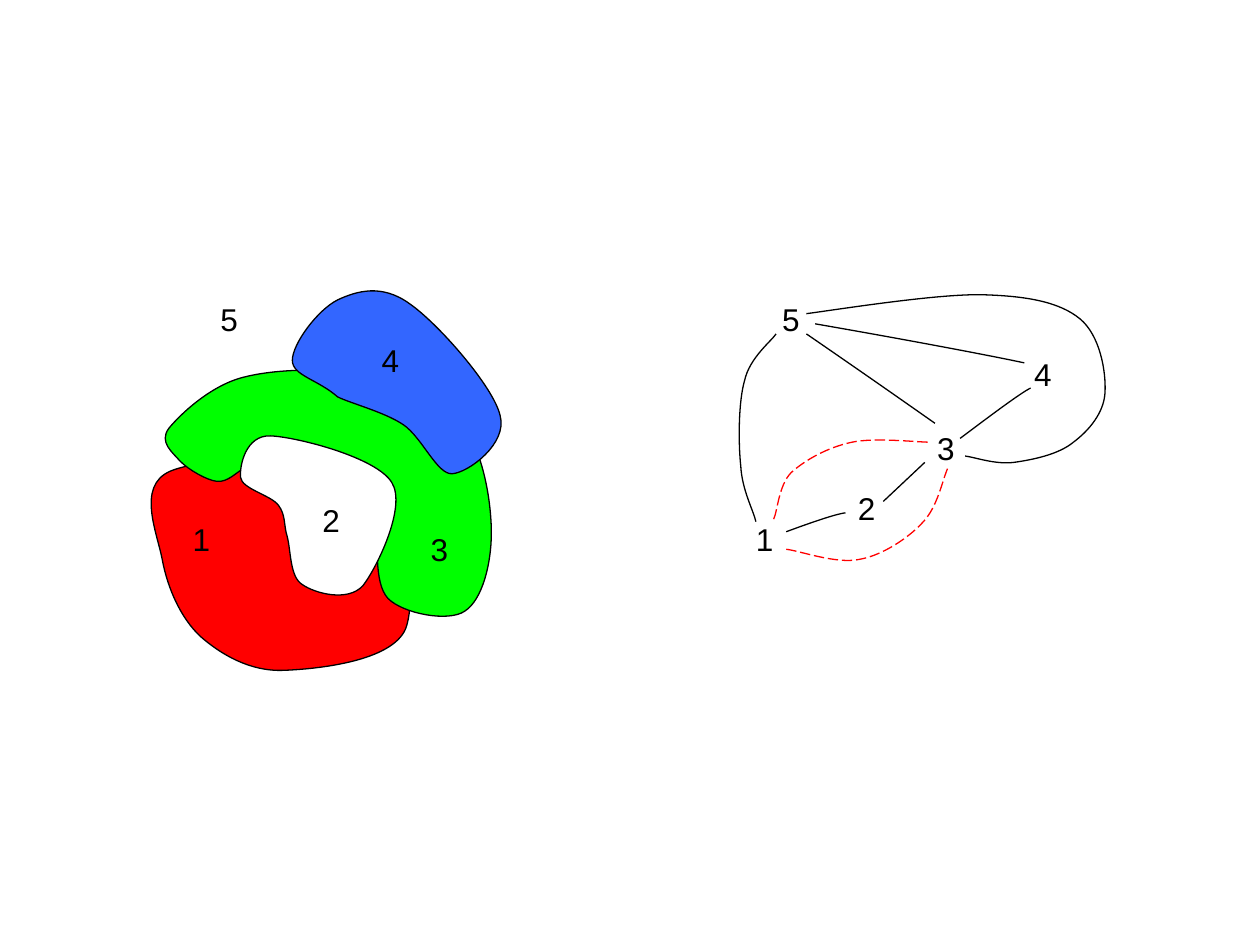
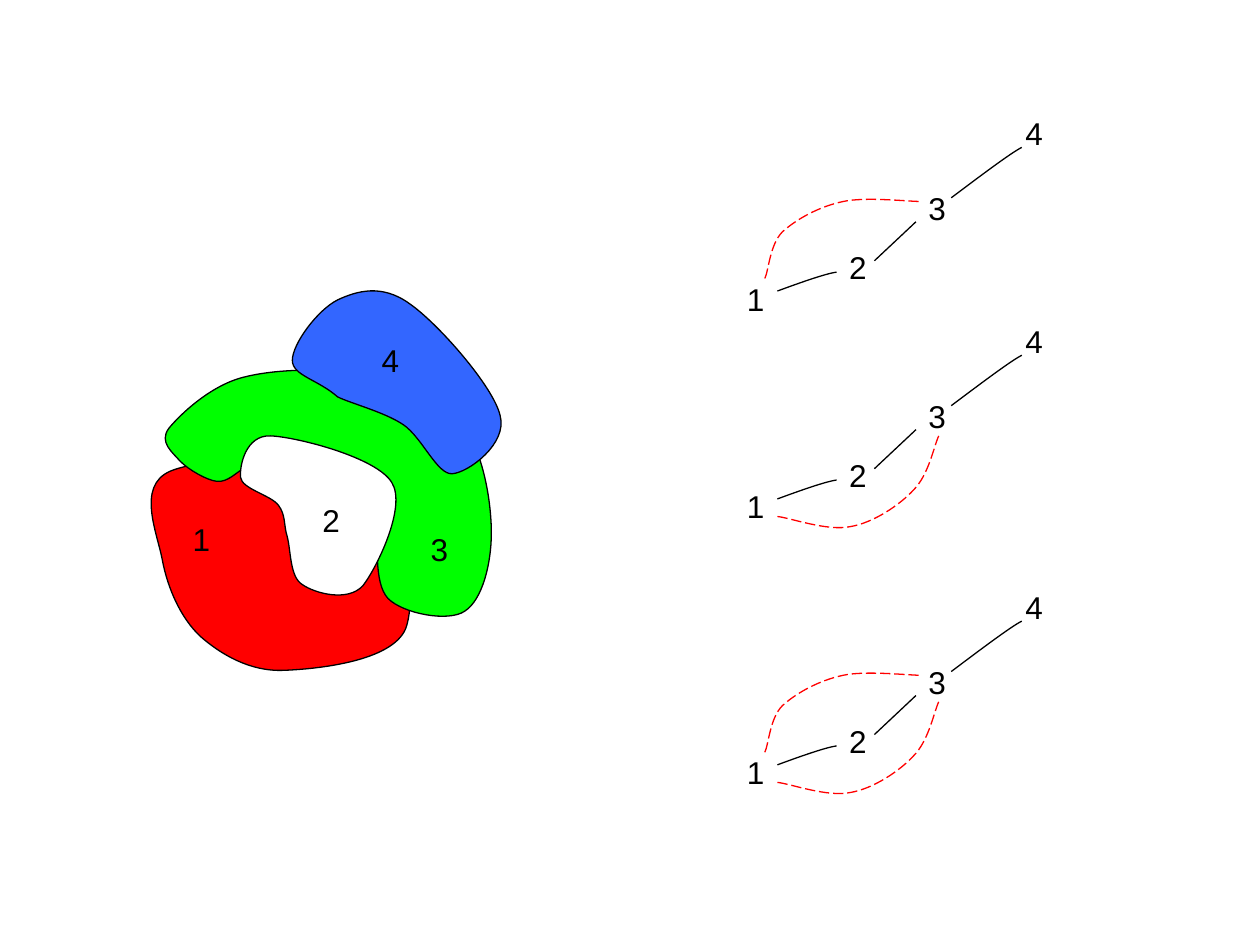
from lxml import etree
from pptx import Presentation
from pptx.dml.color import RGBColor
from pptx.enum.dml import MSO_LINE
from pptx.enum.shapes import MSO_CONNECTOR
from pptx.enum.text import MSO_AUTO_SIZE as AutoSize
from pptx.oxml.ns import qn
from pptx.util import Pt

PX = 9144  # 100 px to the inch

BLACK = RGBColor(0x00, 0x00, 0x00)
WHITE = RGBColor(0xFF, 0xFF, 0xFF)
RED = RGBColor(0xFF, 0x00, 0x00)
GREEN = RGBColor(0x00, 0xFF, 0x00)
BLUE = RGBColor(0x33, 0x66, 0xFF)

# Curves are a start point followed by three Bézier points per segment.
REGIONS = [
    (RED, [(129, 445), (125, 423), (108, 386), (135, 374), (161, 363), (259, 354), (290, 374),
           (322, 395), (332, 472), (322, 499), (311, 525), (252, 531), (225, 532),
           (198, 533), (175, 519), (159, 505), (143, 490), (133, 466), (129, 445)]),
    (GREEN, [(143, 366), (137, 359), (126, 351), (134, 340), (143, 329), (168, 305), (195, 299),
             (223, 292), (269, 292), (298, 299), (327, 305), (354, 319), (369, 340),
             (384, 361), (390, 399), (390, 423), (390, 447), (383, 476), (369, 485),
             (356, 494), (320, 487), (308, 475), (296, 462), (301, 429), (298, 412),
             (294, 396), (294, 383), (288, 375), (281, 366), (269, 364), (259, 362),
             (248, 359), (233, 359), (223, 360), (212, 362), (204, 367), (195, 371),
             (187, 375), (181, 383), (172, 382), (164, 381), (150, 373), (143, 366)]),
    (WHITE, [(228, 426), (225, 416), (227, 409), (221, 401), (215, 393), (192, 388), (191, 379),
             (190, 370), (195, 345), (215, 346), (236, 347), (299, 363), (311, 383),
             (323, 402), (299, 451), (288, 465), (276, 478), (250, 471), (240, 464),
             (230, 458), (231, 437), (228, 426)]),
    (BLUE, [(268, 315), (252, 301), (232, 298), (232, 286), (232, 273), (252, 246), (268, 238),
            (283, 231), (303, 225), (325, 241), (347, 256), (392, 307), (397, 330),
            (403, 352), (372, 375), (359, 376), (347, 377), (335, 347), (320, 337),
            (305, 327), (278, 320), (268, 315)]),
]
REGION_LABELS = {"1": (143, 408), "2": (246, 393), "3": (332, 416), "4": (293, 266)}
OUTSIDE_LABEL = {"5": (165, 233)}

NODES = {"1": (590, 408), "2": (671, 383), "3": (734, 336), "4": (811, 277)}
OUTSIDE_NODE = {"5": (611, 233)}

CHAIN_EDGES = [
    [(624, 422), (643, 415), (663, 408), (671, 407)],
    [(701, 398), (734, 367)],
    [(762, 348), (786, 330), (810, 312), (818, 308)],
]
OUTSIDE_EDGES = [
    [(640, 265), (640, 265), (691, 300), (742, 336)],
    [(640, 249), (663, 246), (744, 233), (780, 234), (816, 235), (841, 240), (857, 253),
     (873, 266), (878, 295), (877, 312), (876, 328), (864, 342), (852, 351),
     (840, 361), (819, 365), (805, 367), (790, 369), (774, 363), (766, 362)],
    [(647, 257), (716, 269), (785, 282), (813, 288)],
    [(616, 265), (612, 271), (595, 284), (591, 302), (586, 319), (586, 352), (588, 370),
     (589, 389), (598, 405), (600, 414)],
]
UPPER_ARC = [(614, 412), (617, 406), (618, 385), (628, 375), (639, 365), (657, 355), (676, 351),
             (694, 347), (728, 351), (739, 351)]
LOWER_ARC = [(624, 436), (634, 437), (664, 448), (682, 444), (700, 441), (721, 427), (732, 415),
             (744, 403), (748, 381), (752, 372)]

# Per slide: region labels, then graphs as (offset, nodes, solid edges, dashed arcs).
SLIDES = [
    (REGION_LABELS | OUTSIDE_LABEL, [
        ((0, 0), NODES | OUTSIDE_NODE, CHAIN_EDGES + OUTSIDE_EDGES, [UPPER_ARC, LOWER_ARC]),
    ]),
    (REGION_LABELS, [
        ((-7, 185), NODES, CHAIN_EDGES, [UPPER_ARC, LOWER_ARC]),
        ((-7, -26), NODES, CHAIN_EDGES, [LOWER_ARC]),
        ((-7, -191), NODES, CHAIN_EDGES, [UPPER_ARC]),
    ]),
]


def draw_path(shapes, points, colour, fill=None, offset=(0, 0)):
    """Draw a connector for two points, otherwise a Bézier curve, closed if filled."""
    points = [((x + offset[0]) * PX, (y + offset[1]) * PX) for x, y in points]
    if len(points) == 2:
        path = shapes.add_connector(MSO_CONNECTOR.STRAIGHT, *points[0], *points[1])
        etree.SubElement(path._element.spPr, qn("a:effectLst"))
    else:
        builder = shapes.build_freeform(*points[0])
        builder.add_line_segments(points[1:], close=fill is not None)
        path = builder.convert_to_shape()
        # Every three straight segments become one cubic segment.
        segments = list(path._element.iter(qn("a:lnTo")))
        for first, second, third in zip(segments[::3], segments[1::3], segments[2::3]):
            cubic = first.makeelement(qn("a:cubicBezTo"))
            first.addprevious(cubic)
            for segment in (first, second, third):
                cubic.append(segment[0])
                segment.getparent().remove(segment)
        path.shadow.inherit = False
        if fill is None:
            path.fill.background()
        else:
            path.fill.solid()
            path.fill.fore_color.rgb = fill
    path.line.color.rgb = colour
    path.line.width = Pt(0.75)
    return path


def add_labels(shapes, labels, offset=(0, 0)):
    for number, (x, y) in labels.items():
        box = shapes.add_textbox((x + offset[0]) * PX, (y + offset[1]) * PX, 34 * PX, 40 * PX)
        frame = box.text_frame
        frame.word_wrap = False
        frame.auto_size = AutoSize.SHAPE_TO_FIT_TEXT
        run = frame.paragraphs[0].add_run()
        run.text = number
        run.font.name = "Arial"
        run.font.size = Pt(18)
        run.font.color.rgb = BLACK


prs = Presentation()
prs.slide_width = 1000 * PX
prs.slide_height = 750 * PX

for region_labels, graphs in SLIDES:
    slide = prs.slides.add_slide(prs.slide_layouts[6])
    for fill, outline in REGIONS:
        draw_path(slide.shapes, outline, BLACK, fill)
    add_labels(slide.shapes, region_labels)

    for offset, nodes, edges, arcs in graphs:
        graph = slide.shapes.add_group_shape().shapes
        for arc in arcs:
            draw_path(graph, arc, RED, offset=offset).line.dash_style = MSO_LINE.LONG_DASH
        for edge in edges:
            draw_path(graph, edge, BLACK, offset=offset)
        add_labels(graph, nodes, offset)

prs.save("out.pptx")
